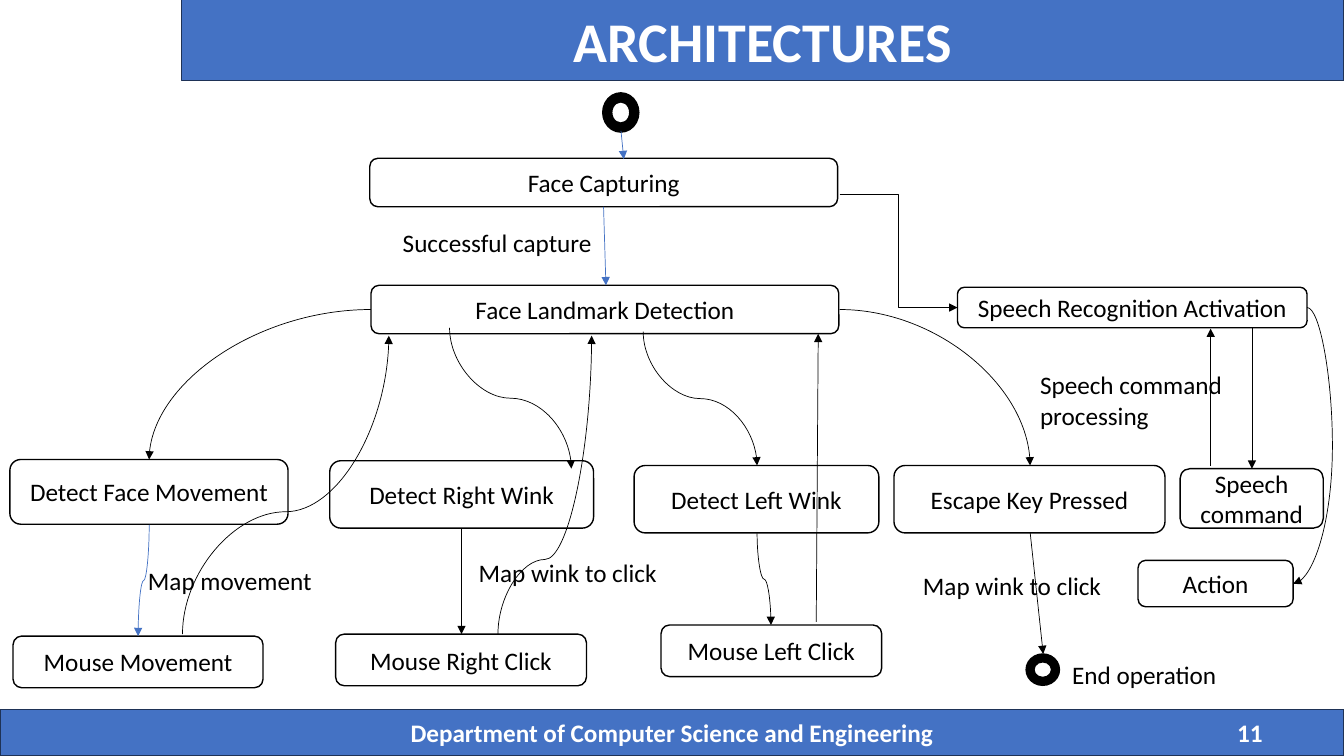
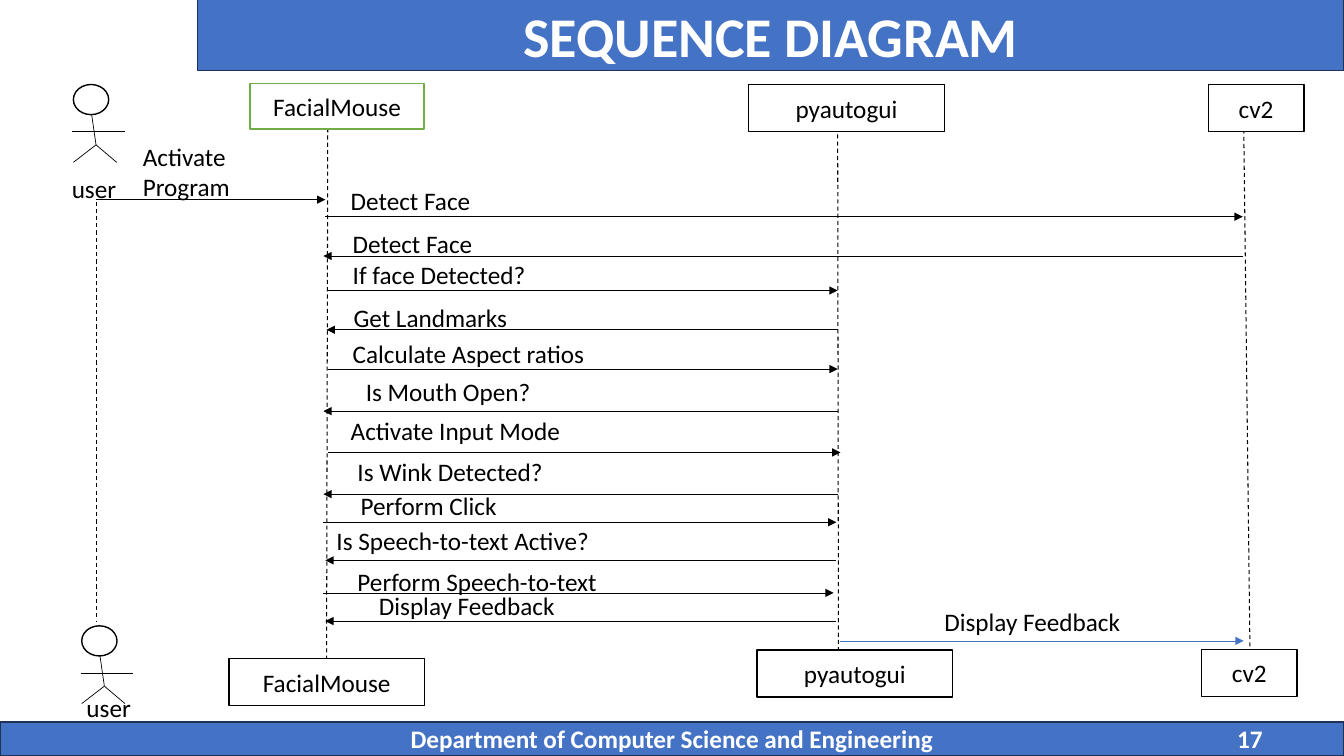
from lxml.etree import SubElement
from pptx import Presentation
from pptx.dml.color import RGBColor
from pptx.enum.dml import MSO_LINE
from pptx.enum.shapes import MSO_CONNECTOR as Route, MSO_SHAPE as Preset
from pptx.enum.text import MSO_ANCHOR as Anchor, PP_ALIGN as Align
from pptx.oxml.ns import qn
from pptx.util import Cm, Pt

BLUE = RGBColor(0x44, 0x72, 0xC4)
NAVY = RGBColor(0x1E, 0x32, 0x56)
GREEN = RGBColor(0x70, 0xAD, 0x47)
BLACK = RGBColor(0, 0, 0)
WHITE = RGBColor(0xFF, 0xFF, 0xFF)
FONT = "Calibri"
WIDTH, HEIGHT = 33.87, 19.05
DEPARTMENT = "Department of Computer Science and Engineering"


def write(shape, text, size=18, color=BLACK, bold=False, align=Align.CENTER,
          anchor=Anchor.MIDDLE):
    frame = shape.text_frame
    frame.word_wrap = True
    frame.vertical_anchor = anchor
    paragraph = frame.paragraphs[0]
    paragraph.alignment = align
    run = paragraph.add_run()
    run.text = text
    run.font.name = FONT
    run.font.size = Pt(size)
    run.font.bold = bold
    run.font.color.rgb = color


def add_box(slide, preset, left, top, width, height, text="", fill=WHITE,
            outline=BLACK, **text_format):
    shape = slide.shapes.add_shape(preset, Cm(left), Cm(top), Cm(width), Cm(height))
    shape.shadow.inherit = False
    shape.fill.solid()
    shape.fill.fore_color.rgb = fill
    shape.line.color.rgb = outline
    shape.line.width = Pt(1)
    if text:
        write(shape, text, **text_format)


def add_label(slide, text, left, top, width=8, height=1.02, **text_format):
    label = slide.shapes.add_textbox(Cm(left), Cm(top), Cm(width), Cm(height))
    write(label, text, **{"align": Align.LEFT, "anchor": Anchor.TOP, **text_format})


def add_line(slide, start, end, color=BLACK, width=0.5, arrow=True, dashed=False,
             route=Route.STRAIGHT):
    connector = slide.shapes.add_connector(route, *map(Cm, (*start, *end)))
    connector.line.color.rgb = color
    connector.line.width = Pt(width)
    if dashed:
        connector.line.dash_style = MSO_LINE.DASH
    properties = connector._element.spPr
    if arrow:
        SubElement(properties.get_or_add_ln(), qn("a:tailEnd"), type="triangle")
    SubElement(properties, qn("a:effectLst"))
    return properties


def set_bend(properties, bend):
    """Place the middle of a curve, as a share of its length."""
    geometry = properties.find(qn("a:prstGeom"))
    adjustments = geometry.find(qn("a:avLst"))
    if adjustments is None:
        adjustments = SubElement(geometry, qn("a:avLst"))
    SubElement(adjustments, qn("a:gd"), name="adj1", fmla=f"val {round(bend * 100000)}")


def add_side_curve(slide, start, end, bend):
    """S-curve that leaves its start horizontally."""
    set_bend(add_line(slide, start, end, route=Route.CURVE), bend)


def add_upright_curve(slide, start, end, bend=0.5, color=BLACK):
    """S-curve that leaves its start vertically: a side curve, turned."""
    (x1, y1), (x2, y2) = start, end
    dx, dy = x2 - x1, y2 - y1
    middle_x, middle_y = (x1 + x2) / 2, (y1 + y2) / 2
    half_width, half_height = abs(dy) / 2, abs(dx) / 2
    properties = add_line(slide, (middle_x - half_width, middle_y - half_height),
                          (middle_x + half_width, middle_y + half_height),
                          color, route=Route.CURVE)
    turn = properties.find(qn("a:xfrm"))
    turn.set("rot", str((270 if dx * dy > 0 else 90) * 60000))
    if dx > 0:
        turn.set("flipH", "1")
    if dy < 0:
        turn.set("flipV", "1")
    set_bend(properties, bend)


def add_quarter_curve(slide, start, end):
    properties = add_line(slide, start, end, route=Route.CURVE)
    properties.find(qn("a:prstGeom")).set("prst", "curvedConnector2")


def add_slide(presentation, title, number, title_left, title_bottom, footer_top):
    slide = presentation.slides.add_slide(presentation.slide_layouts[6])
    band = {"fill": BLUE, "outline": NAVY, "color": WHITE, "bold": True}
    add_box(slide, Preset.RECTANGLE, title_left, -0.03, WIDTH - title_left,
            title_bottom + 0.03, title, size=40, **band)
    footer_height = HEIGHT - footer_top
    add_box(slide, Preset.RECTANGLE, 0, footer_top, WIDTH, footer_height,
            DEPARTMENT, **band)
    add_label(slide, number, 30.5, footer_top, 2, footer_height, color=WHITE,
              bold=True, align=Align.CENTER, anchor=Anchor.MIDDLE)
    return slide


def add_stick_figure(slide, left, top):
    add_box(slide, Preset.FLOWCHART_CONNECTOR, left, top, 0.89, 0.76)
    hip = (0.57, 1.52)
    limbs = [((0.46, 0.76), hip), (hip, (0, 1.96)), (hip, (1.09, 1.96)),
             ((-0.03, 1.19), (1.3, 1.19))]
    for (x1, y1), (x2, y2) in limbs:
        add_line(slide, (left + x1, top + y1), (left + x2, top + y2), arrow=False)


def build_architectures(presentation):
    slide = add_slide(presentation, "ARCHITECTURES", "11", 4.57, 2.03, 17.88)
    for text, *place in [
        ("Face Capturing", 9.32, 3.99, 11.79, 1.22),
        ("Face Landmark Detection", 9.35, 7.19, 11.79, 1.22),
        ("Detect Face Movement", 0.25, 11.58, 7.01, 1.63),
        ("Detect Right Wink", 8.31, 11.61, 6.65, 1.7),
        ("Detect Left Wink", 15.98, 11.73, 6.17, 1.7),
        ("Escape Key Pressed", 22.53, 11.73, 6.83, 1.7),
        ("Mouse Movement", 0.33, 16.03, 6.3, 1.3),
        ("Mouse Right Click", 8.46, 15.98, 6.32, 1.3),
        ("Mouse Left Click", 16.66, 15.75, 5.56, 1.3),
        ("Speech Recognition Activation", 24.13, 7.24, 8.81, 1.02),
        ("Speech command", 29.74, 11.81, 3.61, 1.5),
        ("Action", 28.68, 14.12, 3.91, 1.17),
    ]:
        add_box(slide, Preset.ROUNDED_RECTANGLE, *place, text)
    for place in [(15.19, 2.34, 0.91, 0.99), (25.86, 16.48, 0.84, 0.79)]:
        add_box(slide, Preset.DONUT, *place, fill=BLACK)
    for text, *place in [
        ("Successful capture", 9.9, 5.61),
        ("Map movement", 3.48, 14.12),
        ("Map wink to click", 11.81, 13.92),
        ("Map wink to click", 23.01, 14.25),
        ("End operation", 26.77, 16.48, 4.57),
        ("Speech command processing", 25.96, 9.19, 6.48, 1.8),
    ]:
        add_label(slide, text, *place)

    for start, end, color in [
        ((15.65, 3.3), (15.72, 4.01), BLUE),
        ((15.21, 5.21), (15.27, 7.19), BLUE),
        ((11.63, 13.31), (11.63, 15.98), BLACK),
        ((20.57, 15.67), (20.62, 8.41), BLACK),
        ((25.96, 13.41), (26.29, 16.48), BLACK),
        ((31.55, 8.26), (31.55, 11.81), BLACK),
        ((30.51, 11.73), (30.51, 8.28), BLACK),
    ]:
        add_line(slide, start, end, color)
    add_line(slide, (21.16, 4.9), (24.13, 7.75), route=Route.ELBOW)
    add_quarter_curve(slide, (9.35, 7.8), (3.76, 11.58))
    add_quarter_curve(slide, (21.16, 7.8), (25.96, 11.73))
    add_side_curve(slide, (32.94, 7.75), (32.59, 14.71), bend=-1.83)
    add_upright_curve(slide, (3.76, 13.23), (3.48, 16.03), color=BLUE)
    for start, end, bend in [
        ((11.33, 8.26), (14.4, 11.81), 0.5),
        ((16.21, 8.36), (19.08, 11.73), 0.5),
        ((19.08, 13.44), (19.43, 15.75), 0.5),
        ((4.6, 15.98), (9.8, 8.46), 0.41),
        ((12.55, 15.98), (14.91, 8.46), 0.25),
    ]:
        add_upright_curve(slide, start, end, bend)


def build_sequence(presentation):
    slide = add_slide(presentation, "SEQUENCE DIAGRAM", "17", 4.98, 1.78, 18.19)
    add_stick_figure(slide, 1.85, 2.13)
    add_stick_figure(slide, 2.06, 15.77)
    add_label(slide, "user", 1.56, 4.24, 1.9)
    add_label(slide, "user", 1.93, 17.32, 1.9)

    for start, end in [
        ((2.44, 5.08), (2.44, 15.67)),
        ((8.26, 3.05), (8.23, 16.59)),
        ((21.11, 3.02), (21.13, 16.54)),
        ((31.34, 2.9), (31.5, 16.36)),
    ]:
        add_line(slide, start, end, width=0.75, arrow=False, dashed=True)
    for text, left, top, width, height, outline in [
        ("FacialMouse", 6.3, 2.11, 4.39, 1.14, GREEN),
        ("pyautogui", 18.87, 2.13, 4.93, 1.19, BLACK),
        ("cv2", 30.45, 2.13, 2.41, 1.19, BLACK),
        ("FacialMouse", 5.77, 16.59, 4.93, 1.19, BLACK),
        ("pyautogui", 19.08, 16.38, 4.93, 1.19, BLACK),
        ("cv2", 30.28, 16.36, 2.41, 1.19, BLACK),
    ]:
        add_box(slide, Preset.RECTANGLE, left, top, width, height, text, outline=outline)

    add_label(slide, "Activate Program", 3.35, 3.43, 4.27, 1.8)
    add_line(slide, (2.41, 5.03), (8.2, 5.03))
    for text, left, top, sender, receiver, y in [
        ("Detect Face", 8.59, 4.55, 8.2, 31.32, 5.46),
        ("Detect Face", 8.64, 5.64, 31.32, 8.15, 6.45),
        ("If face Detected?", 8.64, 6.41, 8.23, 21.11, 7.32),
        ("Get Landmarks", 8.66, 7.49, 21.11, 8.23, 8.31),
        ("Calculate Aspect ratios", 8.64, 8.41, 8.26, 21.11, 9.3),
        ("Is Mouth Open?", 8.97, 9.35, 21.11, 8.15, 10.36),
        ("Activate Input Mode", 8.59, 10.34, 8.26, 21.18, 11.4),
        ("Is Wink Detected?", 8.76, 11.38, 21.11, 8.15, 12.45),
        ("Perform Click", 8.84, 12.22, 8.13, 21.08, 13.16),
        ("Is Speech-to-text Active?", 8.23, 13.11, 21.06, 8.2, 14.12),
        ("Perform Speech-to-text", 8.76, 14.15, 8.15, 21.01, 14.94),
        ("Display Feedback", 9.3, 14.76, 21.08, 8.2, 15.65),
    ]:
        add_label(slide, text, left, top)
        add_line(slide, (sender, y), (receiver, y))
    add_label(slide, "Display Feedback", 23.55, 15.16)
    add_line(slide, (21.18, 16.15), (31.34, 16.15), BLUE)


def main():
    presentation = Presentation()
    presentation.slide_width = Cm(WIDTH)
    presentation.slide_height = Cm(HEIGHT)
    build_architectures(presentation)
    build_sequence(presentation)
    presentation.save("out.pptx")


if __name__ == "__main__":
    main()
